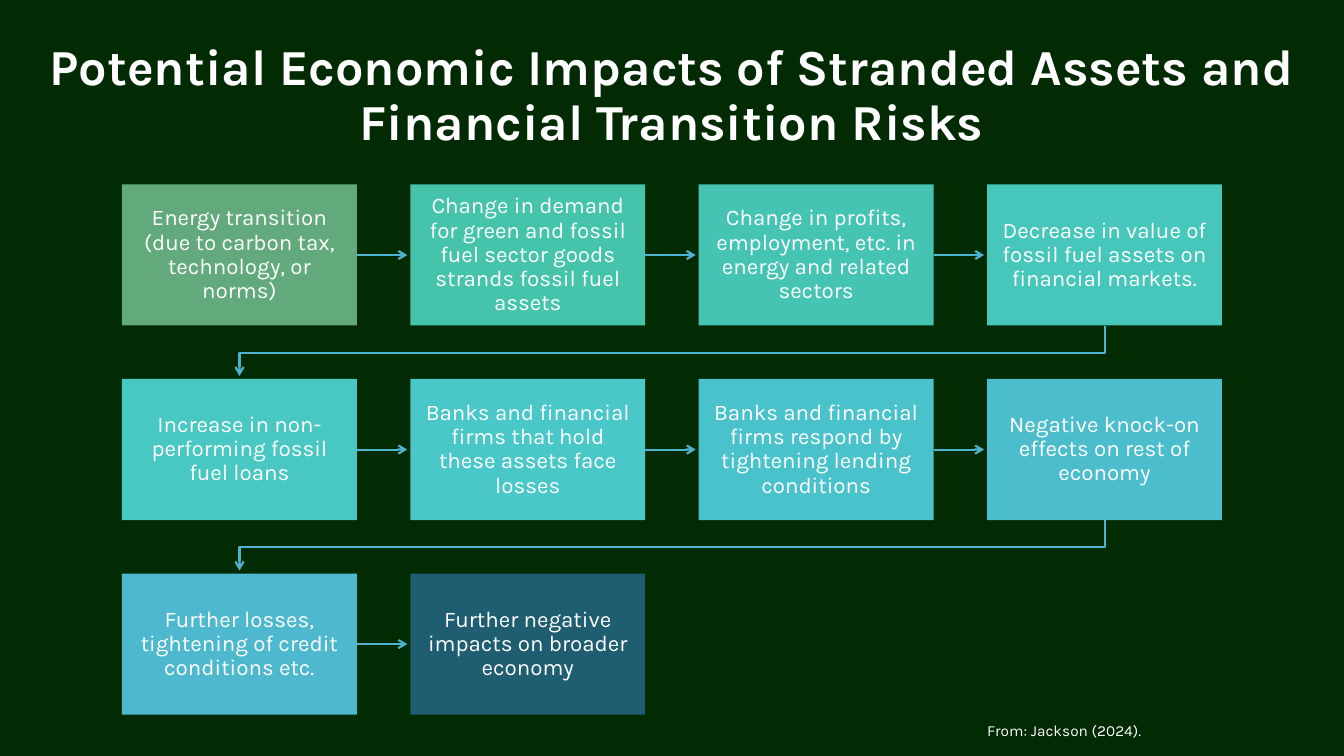
from lxml import etree
from pptx import Presentation
from pptx import util as u
from pptx.dml.color import RGBColor
from pptx.enum import shapes, text
from pptx.oxml.ns import qn

HUES = {"back": "022A03", "text": "FFFFFF", "line": "4EB3CF"}
STEPS = [
    ("Energy transition (due to carbon tax, technology, or norms)", "62AA7B"),
    ("Change in demand for green and fossil fuel sector goods strands fossil fuel assets", "45C3AB"),
    ("Change in profits, employment, etc. in energy and related sectors", "46C4B3"),
    ("Decrease in value of fossil fuel assets on financial markets.", "47C6BB"),
    ("Increase in non-performing fossil fuel loans", "48C7C3"),
    ("Banks and financial firms that hold these assets face losses", "49C7C9"),
    ("Banks and financial firms respond by tightening lending conditions", "4AC2CB"),
    ("Negative knock-on effects on rest of economy", "4CBDCC"),
    ("Further losses, tightening of credit conditions etc.", "4DB8CE"),
    ("Further negative impacts on broader economy", "1E5E70"),
]
COLS = 4
LEFT, TOP = 1.21, 1.83
WIDE, HIGH = 2.33, 1.4
STEP_X, STEP_Y = 2.86, 1.93
REACH = 0.5
BEND = 0.27


def color(code):
    return RGBColor.from_string(code)


class Deck:
    font = "Karla"

    def __init__(self):
        self.file = Presentation()
        self.file.slide_width = u.Inches(13.33)
        self.file.slide_height = u.Inches(7.5)
        self.slide = self.file.slides.add_slide(self.file.slide_layouts[6])
        fill = self.slide.background.fill
        fill.solid()
        fill.fore_color.rgb = color(HUES["back"])

    def words(self, shape, words, size, inset, space=1.0, bold=False):
        frame = shape.text_frame
        frame.word_wrap = True
        frame.vertical_anchor = text.MSO_ANCHOR.MIDDLE
        frame.margin_left = frame.margin_right = u.Inches(inset[0])
        frame.margin_top = frame.margin_bottom = u.Inches(inset[1])
        para = frame.paragraphs[0]
        para.text = words
        para.alignment = text.PP_ALIGN.CENTER
        para.line_spacing = space
        para.font.name = self.font
        para.font.size = u.Pt(size)
        para.font.bold = bold
        para.font.color.rgb = color(HUES["text"])

    def label(self, words, place, size, inset, **look):
        box = self.slide.shapes.add_textbox(*map(u.Inches, place))
        self.words(box, words, size, inset, **look)

    def card(self, words, fill, x, y):
        box = self.slide.shapes.add_shape(
            shapes.MSO_SHAPE.RECTANGLE, *map(u.Inches, (x, y, WIDE, HIGH)))
        box.shadow.inherit = False
        box.fill.solid()
        box.fill.fore_color.rgb = color(fill)
        box.line.fill.background()
        self.words(box, words, 16, (0.12, 0.12), space=0.9)

    def stroke(self, shape):
        shape.line.color.rgb = color(HUES["line"])
        shape.line.width = u.Pt(1.5)
        props = shape._element.spPr
        etree.SubElement(props.find(qn("a:ln")), qn("a:tailEnd"), type="arrow")
        etree.SubElement(props, qn("a:effectLst"))

    def arrow(self, x, y):
        self.stroke(self.slide.shapes.add_connector(
            shapes.MSO_CONNECTOR.STRAIGHT,
            *map(u.Inches, (x, y, x + REACH, y))))

    def wrap(self, x, y, end):
        dots = [(x, y), (x, y + BEND), (end, y + BEND), (end, y + REACH)]
        first, *rest = [(u.Inches(a), u.Inches(b)) for a, b in dots]
        pen = self.slide.shapes.build_freeform(*first)
        pen.add_line_segments(rest, close=False)
        shape = pen.convert_to_shape()
        shape.fill.background()
        self.stroke(shape)

    def flow(self, steps):
        for i, (words, fill) in enumerate(steps):
            row, col = divmod(i, COLS)
            x, y = LEFT + col * STEP_X, TOP + row * STEP_Y
            self.card(words, fill, x, y)
            if i == len(steps) - 1:
                continue
            if col < COLS - 1:
                self.arrow(x + WIDE, y + HIGH / 2)
            else:
                self.wrap(x + WIDE / 2, y + HIGH, LEFT + WIDE / 2)


def main():
    deck = Deck()
    deck.label("Potential Economic Impacts of Stranded Assets and Financial Transition Risks",
               (0.41, 0.53, 12.5, 0.86), 36, (0, 0), space=0.9, bold=True)
    deck.flow(STEPS)
    deck.label("From: Jackson (2024).", (7.78, 7.1, 5.55, 0.29), 11, (0.1, 0.05))
    deck.file.save("out.pptx")


if __name__ == "__main__":
    main()
